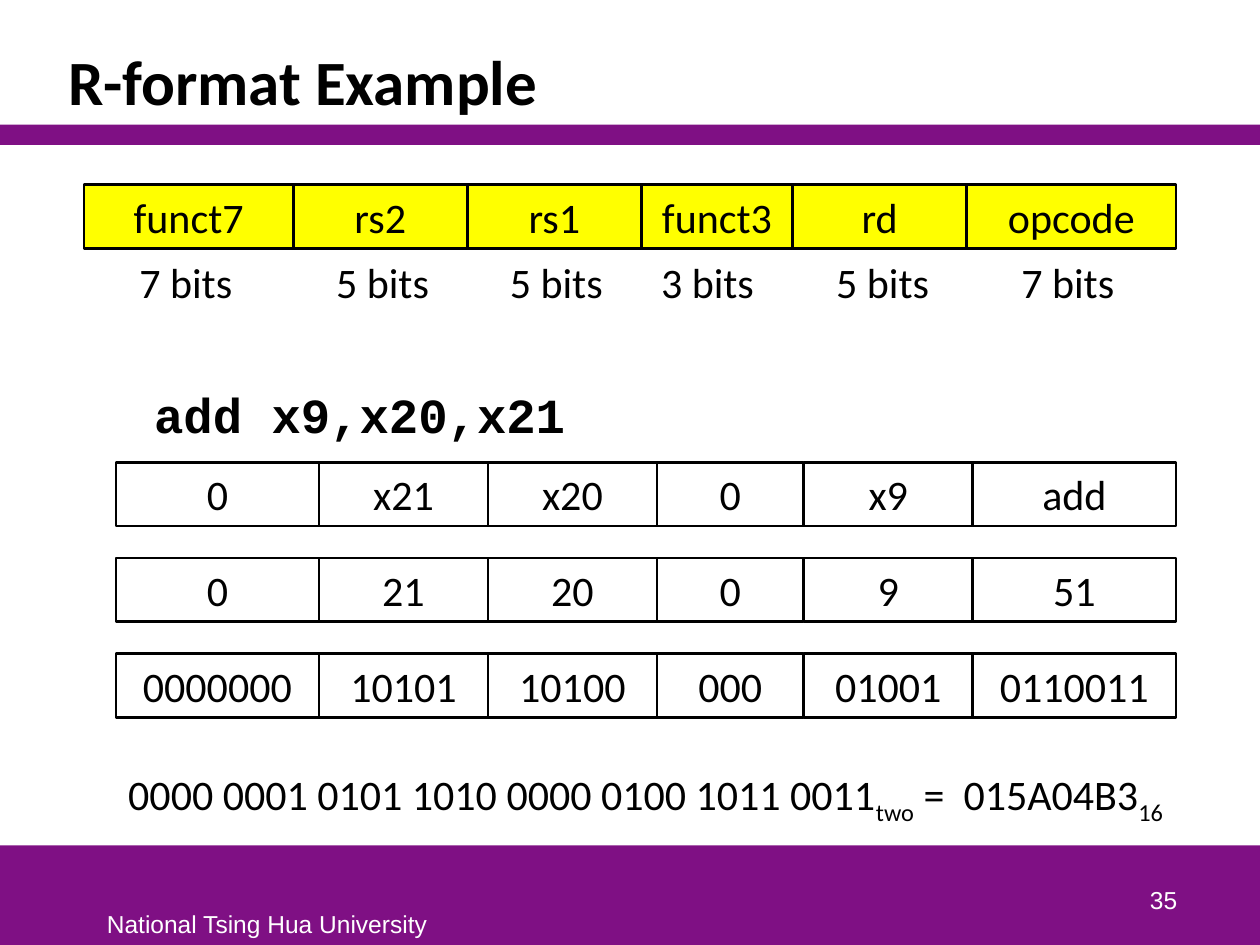
from itertools import accumulate
from pptx import Presentation
from pptx.dml.color import RGBColor
from pptx.enum.shapes import MSO_SHAPE as Preset
from pptx.enum.text import MSO_ANCHOR as Anchor, MSO_AUTO_SIZE as AutoSize, PP_ALIGN as Align
from pptx.util import Pt

COLORS = {"purple": "7F1084", "yellow": "FFFF00", "black": "000000", "white": "FFFFFF"}
TITLE = "R-format Example"
FIELDS = ["funct7", "rs2", "rs1", "funct3", "rd", "opcode"]
BITS = [7, 5, 5, 3, 5, 7]
BIT_LABEL_LEFTS = [66.2, 178.6, 277.9, 364.3, 464.4, 570.2]
CELL_SHARES = [1.66, 1.38, 1.38, 1.2, 1.38, 1.66]
INSTRUCTION = "add x9,x20,x21"
ENCODINGS = [
    ["0", "x21", "x20", "0", "x9", "add"],
    ["0", "21", "20", "0", "9", "51"],
    ["0000000", "10101", "10100", "000", "01001", "0110011"],
]
RESULT = [
    ("0000 0001 0101 1010 0000 0100 1011 0011", False),
    ("two", True),
    (" =  015A04B3", False),
    ("16", True),
]
BARS = [(71.3, 11.5), (483.1, 56.9)]
RIGHT_EDGE, CELL_HEIGHT = 672, 36.3
ENCODING_TOP, ENCODING_STEP = 264.2, 54.7

BODY = {"name": "Calibri", "size": Pt(24), "bold": False}
HEADING = {"name": "Calibri", "size": Pt(36), "bold": True}
CODE = {"name": "Courier New", "size": Pt(28), "bold": True}
FOOTER = {"name": "Arial", "size": Pt(14), "bold": False}
CELL_FRAME = {"margin_left": Pt(3), "margin_right": Pt(3), "vertical_anchor": Anchor.MIDDLE}


def rgb(color):
    return RGBColor.from_string(COLORS[color])


def assign(target, values):
    for key, value in values.items():
        setattr(target, key, value)


def write(shape, runs, font, color="black", frame=None, paragraph=None):
    text_frame = shape.text_frame
    assign(text_frame, {"word_wrap": True, "auto_size": AutoSize.NONE, **(frame or {})})
    line = text_frame.paragraphs[0]
    assign(line, {"alignment": Align.LEFT, **(paragraph or {})})
    for text, subscript in runs:
        run = line.add_run()
        run.text = text
        assign(run.font, font)
        run.font.color.rgb = rgb(color)
        if subscript:
            run.font._element.set("baseline", "-25000")


def add_text(slide, box, runs, font, **formats):
    write(slide.shapes.add_textbox(*map(Pt, box)), runs, font, **formats)


def add_box(slide, box, fill=None, line=None):
    shape = slide.shapes.add_shape(Preset.RECTANGLE, *map(Pt, box))
    shape.shadow.inherit = False
    if fill:
        shape.fill.solid()
        shape.fill.fore_color.rgb = rgb(fill)
    else:
        shape.fill.background()
    if line:
        shape.line.color.rgb = rgb(line)
        shape.line.width = Pt(1.5)
    else:
        shape.line.fill.background()
    return shape


def add_row(slide, left, top, texts, fill=None):
    scale = (RIGHT_EDGE - left) / sum(CELL_SHARES)
    edges = [left + scale * share for share in accumulate(CELL_SHARES, initial=0)]
    for start, end, text in zip(edges, edges[1:], texts):
        cell = add_box(slide, (start, top, end - start, CELL_HEIGHT), fill, "black")
        write(cell, [(text, False)], BODY, frame=CELL_FRAME,
              paragraph={"alignment": Align.CENTER})


def main():
    deck = Presentation()
    assign(deck, {"slide_width": Pt(720), "slide_height": Pt(540)})
    slide = deck.slides.add_slide(deck.slide_layouts[5])

    for top, height in BARS:
        add_box(slide, (0, top, 720, height), "purple")

    title = slide.shapes.title
    assign(title, {"left": Pt(31.7), "top": Pt(18), "width": Pt(656.6), "height": Pt(53.3)})
    write(title, [(TITLE, False)], HEADING, frame={"vertical_anchor": Anchor.BOTTOM},
          paragraph={"line_spacing": 0.85})

    add_text(slide, (54, 516.2, 198.7, 23.8), [("National Tsing Hua University", False)],
             FOOTER, color="white", frame={"word_wrap": False})
    add_text(slide, (530, 490.3, 149.8, 36), [("35", False)], FOOTER, color="white",
             frame={"vertical_anchor": Anchor.BOTTOM}, paragraph={"alignment": Align.RIGHT})

    add_row(slide, 48, 105.6, FIELDS, "yellow")
    for left, bits in zip(BIT_LABEL_LEFTS, BITS):
        add_text(slide, (left, 142.8, 80, CELL_HEIGHT), [(f"{bits} bits", False)], BODY,
                 frame={"word_wrap": False}, paragraph={"alignment": Align.CENTER})

    add_text(slide, (81, 213.1, 290.5, 51.1), [(INSTRUCTION, False)], CODE,
             frame={"margin_top": Pt(6.6)})
    for index, values in enumerate(ENCODINGS):
        add_row(slide, 66.2, ENCODING_TOP + index * ENCODING_STEP, values)
    add_text(slide, (66.2, 435.6, 622.8, 43.9), RESULT, BODY)

    deck.save("out.pptx")


if __name__ == "__main__":
    main()
